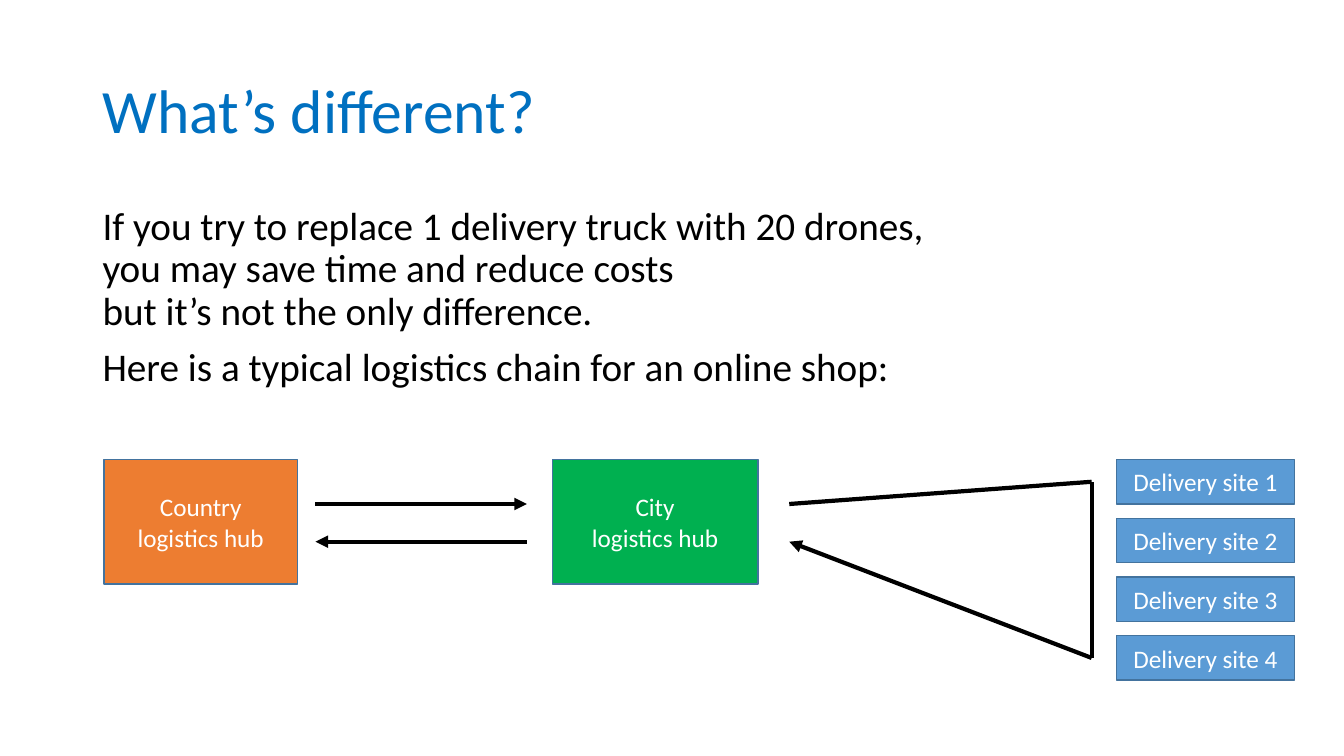
from copy import deepcopy
from dataclasses import dataclass

from lxml.etree import SubElement
from pptx import Presentation
from pptx.dml.color import RGBColor as RGB
from pptx.enum.shapes import MSO_CONNECTOR as CONN, MSO_SHAPE as SHAPE
from pptx.enum.text import MSO_ANCHOR as ANCHOR, MSO_AUTO_SIZE as AUTO, PP_ALIGN as ALIGN
from pptx.oxml.ns import qn
from pptx.util import Cm, Pt


@dataclass(frozen=True)
class Theme:
    font: str = "Calibri"
    title: str = "0070C0"
    ink: str = "000000"
    light: str = "FFFFFF"
    country: str = "ED7D31"
    city: str = "00B050"
    site: str = "5B9BD5"
    border: str = "43739E"
    title_size: int = 44
    body_size: int = 28
    label_size: int = 18


def write(p, text, *, font, size, color, align=ALIGN.LEFT, spacing=1.0, before=0):
    p.text = text.replace("\n", "\v")
    p.alignment = align
    p.line_spacing = spacing
    p.space_before = Pt(before)
    for r in p.runs:
        r.font.name = font
        r.font.size = Pt(size)
        r.font.color.rgb = RGB.from_string(color)
    for br in p._p.findall(qn("a:br")):
        br.append(deepcopy(p.runs[0].font._element))


class SlideBuilder:
    def __init__(self, slide, theme):
        self.slide = slide
        self.theme = theme

    def place(self, sp, left, top, width, height, anchor):
        sp.left, sp.top, sp.width, sp.height = map(Cm, (left, top, width, height))
        tf = sp.text_frame
        tf.word_wrap = True
        tf.auto_size = AUTO.NONE
        tf.vertical_anchor = anchor
        return tf

    def title(self, text, *box):
        t = self.theme
        tf = self.place(self.slide.shapes.title, *box, ANCHOR.MIDDLE)
        write(tf.paragraphs[0], text, font=t.font, size=t.title_size,
              color=t.title, spacing=0.9)

    def body(self, texts, *box):
        t = self.theme
        tf = self.place(self.slide.placeholders[1], *box, ANCHOR.TOP)
        for i, text in enumerate(texts):
            p = tf.add_paragraph() if i else tf.paragraphs[0]
            pPr = p._p.get_or_add_pPr()
            pPr.set("marL", "0")
            pPr.set("indent", "0")
            SubElement(pPr, qn("a:buNone"))
            write(p, text, font=t.font, size=t.body_size, color=t.ink,
                  spacing=0.9, before=10 if i else 0)

    def box(self, text, fill, left, top, width, height):
        t = self.theme
        sp = self.slide.shapes.add_shape(
            SHAPE.RECTANGLE, *map(Cm, (left, top, width, height)))
        sp.shadow.inherit = False
        sp.fill.solid()
        sp.fill.fore_color.rgb = RGB.from_string(fill)
        sp.line.color.rgb = RGB.from_string(t.border)
        sp.line.width = Pt(1)
        tf = sp.text_frame
        tf.word_wrap = True
        tf.vertical_anchor = ANCHOR.MIDDLE
        write(tf.paragraphs[0], text, font=t.font, size=t.label_size,
              color=t.light, align=ALIGN.CENTER)

    def line(self, start, end, arrow=False):
        cx = self.slide.shapes.add_connector(CONN.STRAIGHT, *map(Cm, (*start, *end)))
        cx.line.color.rgb = RGB.from_string(self.theme.ink)
        cx.line.width = Pt(3)
        if arrow:
            SubElement(cx.line._get_or_add_ln(), qn("a:tailEnd"), type="triangle")
        SubElement(cx._element.spPr, qn("a:effectLst"))


def main():
    prs = Presentation()
    prs.slide_width, prs.slide_height = Cm(33.87), Cm(19.05)
    theme = Theme()
    s = SlideBuilder(prs.slides.add_slide(prs.slide_layouts[1]), theme)

    s.title("What’s different?", 2.33, 1.02, 29.21, 3.68)
    s.body([
        "If you try to replace 1 delivery truck with 20 drones,\n"
        "you may save time and reduce costs\n"
        "but it’s not the only difference.",
        "Here is a typical logistics chain for an online shop:",
    ], 2.33, 5.08, 29.21, 13.03)

    top, hub_height = 11.68 - 0.1, 3.14
    s.box("Country\nlogistics hub", theme.country, 2.62, top, 4.88, hub_height)
    s.box("City\nlogistics hub", theme.city, 13.92, top, 5.18, hub_height)

    site_height, site_pitch, sites = 1.12, 1.48, 4
    for i in range(sites):
        s.box(f"Delivery site {i + 1}", theme.site,
              28.14, top + i * site_pitch, 4.48, site_height)

    out_y, back_y = 12.7, 13.65
    first_y = top + site_height / 2
    last_y = first_y + (sites - 1) * site_pitch
    hub_left, hub_right, city_x, route_x = 7.95, 13.28, 19.89, 27.51
    s.line((route_x, last_y), (city_x, back_y), arrow=True)
    s.line((city_x, out_y), (route_x, first_y))
    s.line((route_x, last_y), (route_x, first_y))
    s.line((hub_right, back_y), (hub_left, back_y), arrow=True)
    s.line((hub_left, out_y), (hub_right, out_y), arrow=True)

    prs.save("out.pptx")


if __name__ == "__main__":
    main()
